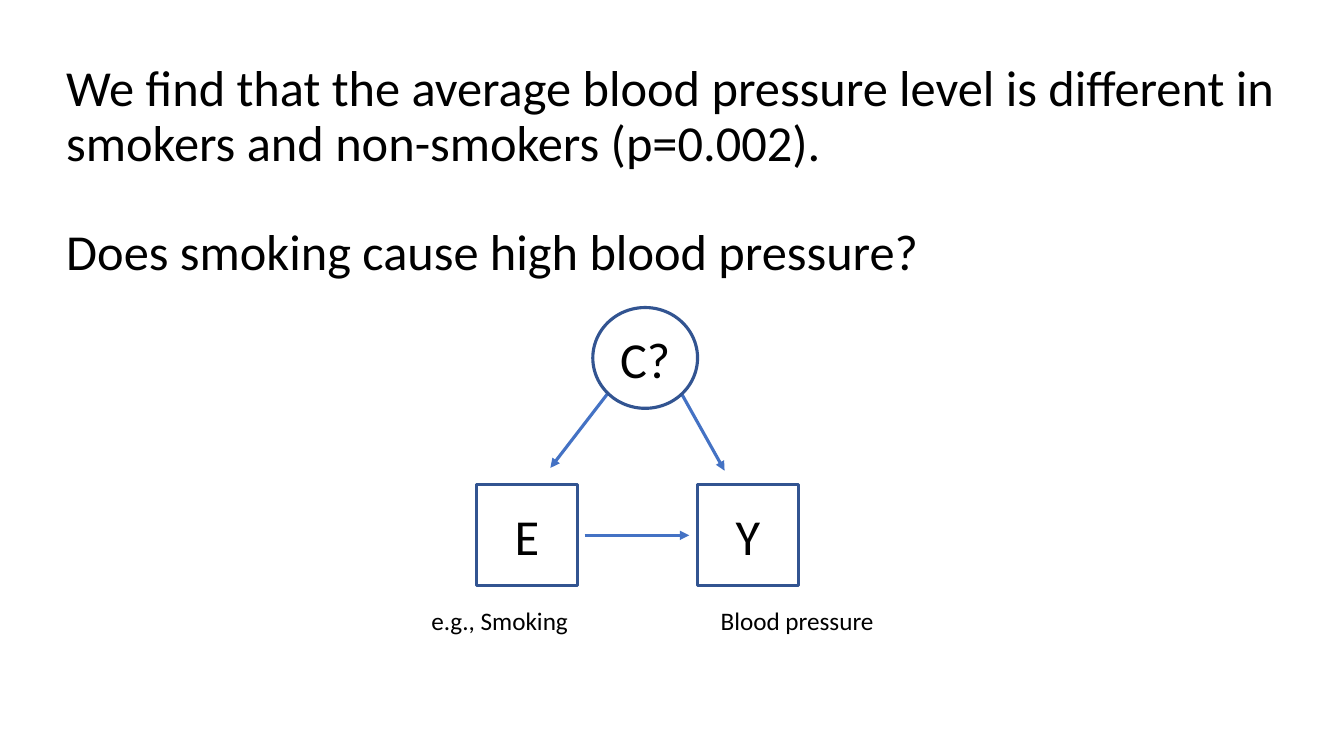
from dataclasses import dataclass

from lxml.etree import SubElement
from pptx import Presentation
from pptx.dml.color import RGBColor
from pptx.enum.shapes import MSO_CONNECTOR, MSO_SHAPE
from pptx.enum.text import MSO_ANCHOR, PP_ALIGN
from pptx.oxml.ns import qn
from pptx.util import Cm, Pt


@dataclass(frozen=True)
class Theme:
    font: str = "Calibri"
    text: RGBColor = RGBColor(0x00, 0x00, 0x00)
    outline: RGBColor = RGBColor(0x32, 0x54, 0x91)
    arrow: RGBColor = RGBColor(0x44, 0x72, 0xC4)
    large: Pt = Pt(36)
    small: Pt = Pt(18)
    stroke: Pt = Pt(2.25)


theme = Theme()


def write(paragraph, text, size):
    paragraph.text = text
    paragraph.font.name = theme.font
    paragraph.font.size = size
    paragraph.font.color.rgb = theme.text


prs = Presentation()
prs.slide_width, prs.slide_height = Cm(33.87), Cm(19.05)
slide = prs.slides.add_slide(prs.slide_layouts[6])

# Finding and question
headline = slide.shapes.add_textbox(Cm(1.42), Cm(1.19), Cm(31.24), Cm(6.3)).text_frame
headline.word_wrap = True
headline.vertical_anchor = MSO_ANCHOR.MIDDLE
finding = headline.paragraphs[0]
question = headline.add_paragraph()
write(finding, "We find that the average blood pressure level is different in "
      "smokers and non-smokers (p=0.002).", theme.large)
write(question, "Does smoking cause high blood pressure?", theme.large)
finding.line_spacing = question.line_spacing = 0.9
question.space_before = Pt(39)

# Arrows: exposure to outcome, confounder to both
for x1, y1, x2, y2 in [
    (14.73, 13.49, 17.37, 13.49),
    (17.17, 9.91, 18.26, 11.86),
    (15.32, 9.91, 13.87, 11.79),
]:
    effect = slide.shapes.add_connector(
        MSO_CONNECTOR.STRAIGHT, Cm(x1), Cm(y1), Cm(x2), Cm(y2))
    effect.line.color.rgb = theme.arrow
    effect.line.width = theme.stroke
    SubElement(effect.line._get_or_add_ln(), qn("a:tailEnd"), type="triangle")
    SubElement(effect._element.spPr, qn("a:effectLst"))

# Variables: exposure, outcome, confounder
for letter, outline, x, y, width in [
    ("E", MSO_SHAPE.RECTANGLE, 12.01, 12.22, 2.54),
    ("Y", MSO_SHAPE.RECTANGLE, 17.58, 12.22, 2.54),
    ("C?", MSO_SHAPE.OVAL, 14.94, 7.75, 2.64),
]:
    variable = slide.shapes.add_shape(outline, Cm(x), Cm(y), Cm(width), Cm(2.54))
    variable.shadow.inherit = False
    variable.fill.background()
    variable.line.color.rgb = theme.outline
    variable.line.width = theme.stroke
    variable.text_frame.word_wrap = False
    variable.text_frame.vertical_anchor = MSO_ANCHOR.MIDDLE
    write(variable.text_frame.paragraphs[0], letter, theme.large)
    variable.text_frame.paragraphs[0].alignment = PP_ALIGN.CENTER

# Examples under the exposure and the outcome
for example, x, width in [("e.g., Smoking", 10.62, 3.99), ("Blood pressure", 17.91, 4.42)]:
    caption = slide.shapes.add_textbox(Cm(x), Cm(15.14), Cm(width), Cm(1.02)).text_frame
    caption.word_wrap = False
    write(caption.paragraphs[0], example, theme.small)

prs.save("out.pptx")
